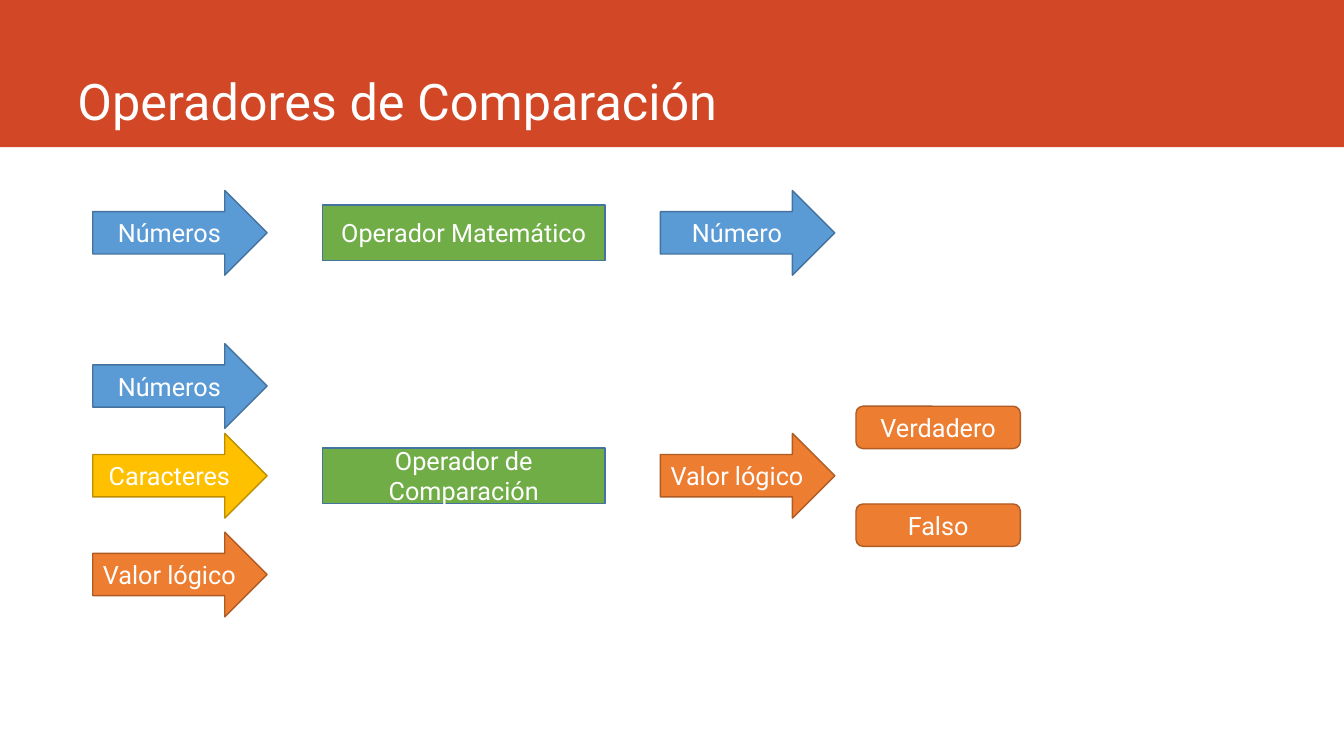
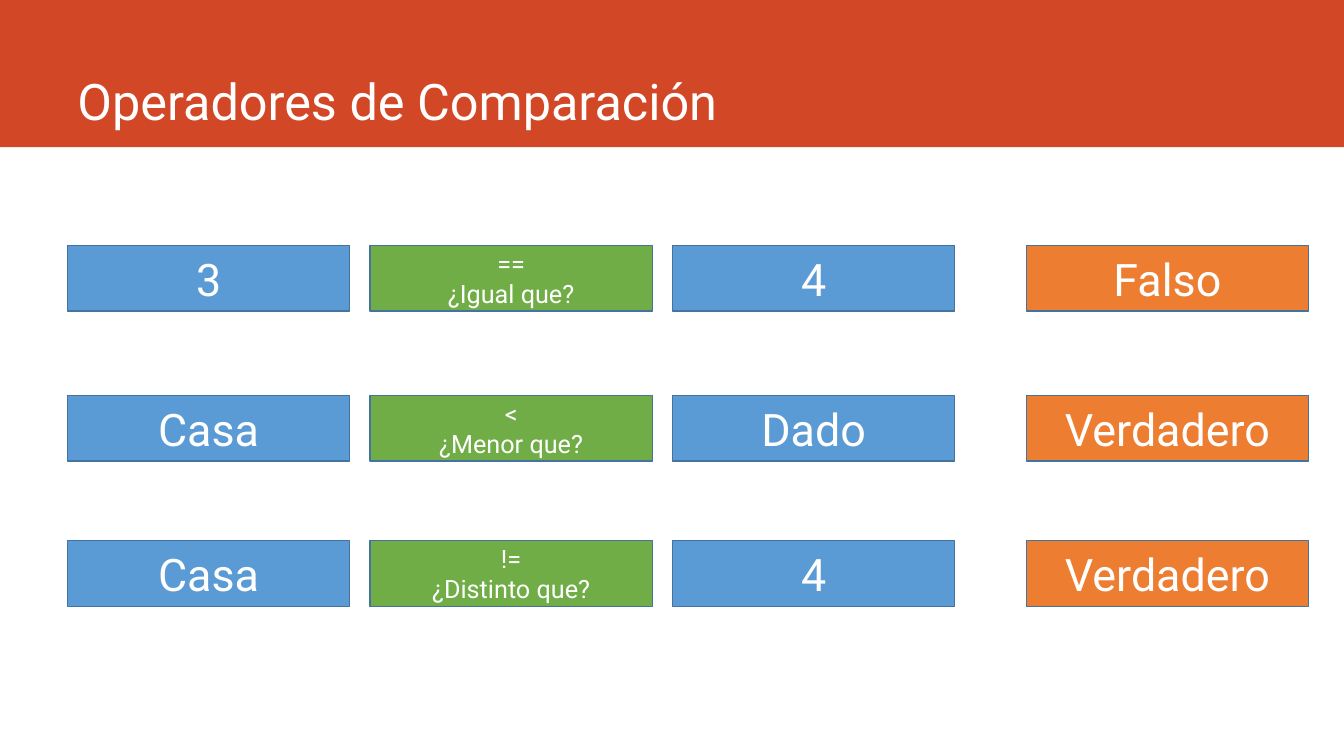
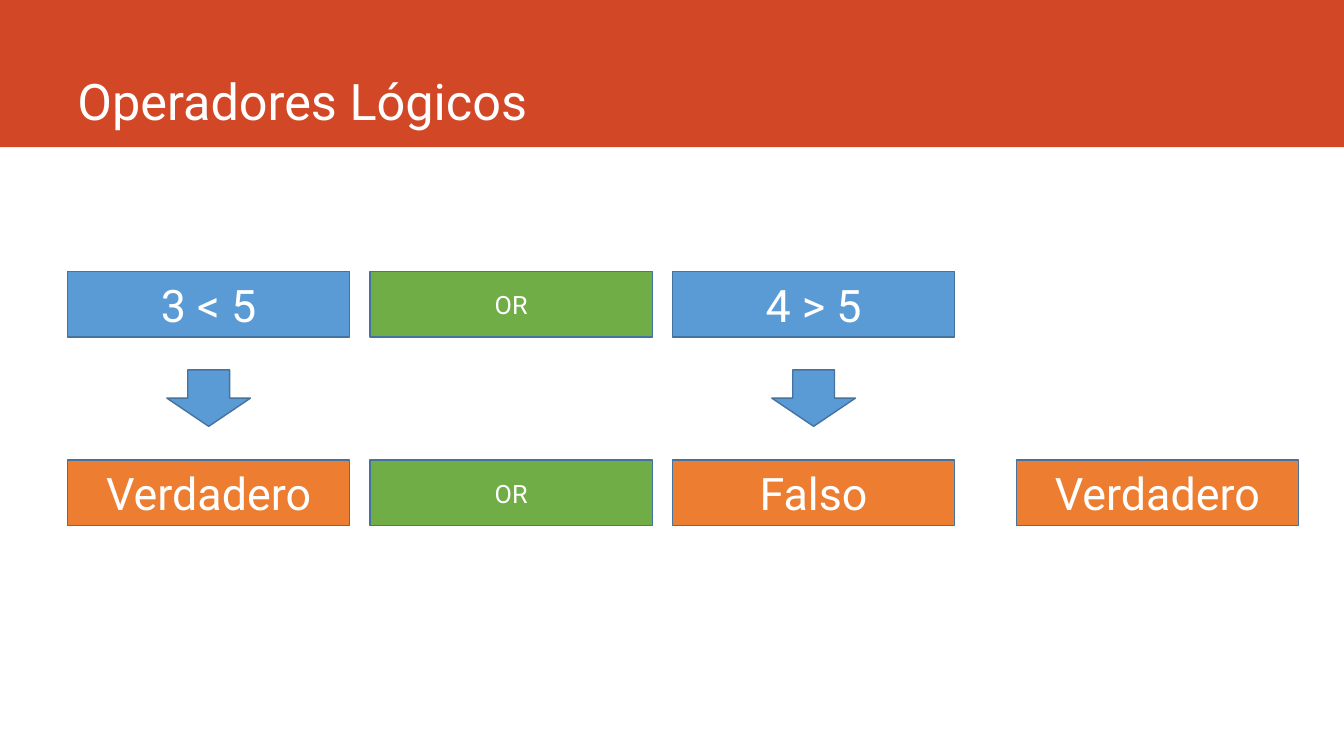
from typing import NamedTuple

from pptx import Presentation
from pptx.dml.color import RGBColor
from pptx.enum.shapes import MSO_SHAPE as SHAPE
from pptx.enum.text import MSO_ANCHOR as ANCHOR, PP_ALIGN as ALIGN
from pptx.util import Inches, Pt

FONT = "Roboto"
WHITE = "FFFFFF"
BAND = "D24726"
BLUE, BLUE_EDGE = "5B9BD5", "43739E"
GREEN = "70AD47"
ORANGE, ORANGE_EDGE = "ED7D31", "AF5C24"
YELLOW, YELLOW_EDGE = "FFC000", "BD8E00"

SLIDE_W, SLIDE_H = 13.33, 7.5
CELL_W, CELL_H, CELL_GAP, MARGIN = 2.8, 0.65, 0.2, 0.67
COLUMNS = [MARGIN + i * (CELL_W + CELL_GAP) for i in range(3)]
SMALL, LARGE = 18, 32


class Style(NamedTuple):
    shape: SHAPE
    width: float
    height: float
    fill: str
    edge: str = BLUE_EDGE
    size: int = SMALL


class Node(NamedTuple):
    style: Style
    left: float
    middle: float
    text: str = ""


ARROW = Style(SHAPE.RIGHT_ARROW, 1.73, 0.84, BLUE)
TEXT_ARROW = ARROW._replace(fill=YELLOW, edge=YELLOW_EDGE)
LOGIC_ARROW = ARROW._replace(fill=ORANGE, edge=ORANGE_EDGE)
DOWN_ARROW = Style(SHAPE.DOWN_ARROW, 0.83, 0.56, BLUE)
OPERATOR = Style(SHAPE.RECTANGLE, CELL_W, 0.55, GREEN)
OUTCOME = Style(SHAPE.ROUNDED_RECTANGLE, 1.63, 0.42, ORANGE, ORANGE_EDGE)
OPERAND_CELL = Style(SHAPE.RECTANGLE, CELL_W, CELL_H, BLUE, size=LARGE)
OPERATOR_CELL = OPERAND_CELL._replace(fill=GREEN, size=SMALL)
RESULT_CELL = OPERAND_CELL._replace(fill=ORANGE)


def color(value: str) -> RGBColor:
    return RGBColor.from_string(value)


def write(sp, text: str, *, size: int, align=ALIGN.CENTER, anchor=ANCHOR.MIDDLE) -> None:
    tf = sp.text_frame
    tf.word_wrap = True
    tf.vertical_anchor = anchor
    for i, line in enumerate(text.split("\n")):
        p = tf.add_paragraph() if i else tf.paragraphs[0]
        p.alignment = align
        r = p.add_run()
        r.text = line
        r.font.name = FONT
        r.font.size = Pt(size)
        r.font.color.rgb = color(WHITE)


def add_box(s, shape: SHAPE, left: float, top: float, width: float, height: float,
            fill: str, edge: str | None = None):
    sp = s.shapes.add_shape(shape, Inches(left), Inches(top), Inches(width), Inches(height))
    sp.shadow.inherit = False
    sp.fill.solid()
    sp.fill.fore_color.rgb = color(fill)
    if edge:
        sp.line.color.rgb = color(edge)
        sp.line.width = Pt(1)
    else:
        sp.line.fill.background()
    return sp


def draw(s, node: Node) -> None:
    st = node.style
    sp = add_box(s, st.shape, node.left, node.middle - st.height / 2,
                 st.width, st.height, st.fill, st.edge)
    if node.text:
        write(sp, node.text, size=st.size)


def add_slide(prs, title: str, nodes: list[Node]) -> None:
    s = prs.slides.add_slide(prs.slide_layouts[6])
    add_box(s, SHAPE.RECTANGLE, 0, 0, SLIDE_W, 1.46, BAND)
    heading = s.shapes.add_textbox(Inches(MARGIN), 0, Inches(11.75), Inches(1.34))
    write(heading, title, size=36, align=ALIGN.LEFT, anchor=ANCHOR.BOTTOM)
    for node in nodes:
        draw(s, node)


def flow_nodes() -> list[Node]:
    input_x, operator_x, output_x, outcome_x = 0.92, 3.2, 6.55, 8.49
    math_y, compare_y = 2.31, 4.72
    return [
        Node(ARROW, input_x, math_y, "Números"),
        Node(OPERATOR, operator_x, math_y, "Operador Matemático"),
        Node(ARROW, output_x, math_y, "Número"),
        Node(ARROW, input_x, 3.83, "Números"),
        Node(TEXT_ARROW, input_x, compare_y, "Caracteres"),
        Node(LOGIC_ARROW, input_x, 5.7, "Valor lógico"),
        Node(OPERATOR, operator_x, compare_y, "Operador de Comparación"),
        Node(LOGIC_ARROW, output_x, compare_y, "Valor lógico"),
        Node(OUTCOME, outcome_x, 4.24, "Verdadero"),
        Node(OUTCOME, outcome_x, 5.21, "Falso"),
    ]


def expression(middle: float, texts: tuple[str, str, str], operand: Style) -> list[Node]:
    styles = (operand, OPERATOR_CELL, operand)
    return [Node(st, x, middle, text) for st, x, text in zip(styles, COLUMNS, texts)]


def comparison_nodes() -> list[Node]:
    rows = [
        (2.76, ("3", "==\n¿Igual que?", "4"), "Falso"),
        (4.25, ("Casa", "<\n¿Menor que?", "Dado"), "Verdadero"),
        (5.69, ("Casa", "!=\n¿Distinto que?", "4"), "Verdadero"),
    ]
    nodes = []
    for middle, texts, result in rows:
        nodes += expression(middle, texts, OPERAND_CELL)
        nodes.append(Node(RESULT_CELL, 10.18, middle, result))
    return nodes


def logic_nodes() -> list[Node]:
    result_y = 4.89
    arrow_inset = (CELL_W - DOWN_ARROW.width) / 2
    return [
        *expression(3.02, ("3 < 5", "OR", "4 > 5"), OPERAND_CELL),
        *(Node(DOWN_ARROW, x + arrow_inset, 3.95) for x in COLUMNS[::2]),
        *expression(result_y, ("Verdadero", "OR", "Falso"), RESULT_CELL),
        Node(RESULT_CELL, 10.08, result_y, "Verdadero"),
    ]


def main() -> None:
    prs = Presentation()
    prs.slide_width, prs.slide_height = Inches(SLIDE_W), Inches(SLIDE_H)
    add_slide(prs, "Operadores de Comparación", flow_nodes())
    add_slide(prs, "Operadores de Comparación", comparison_nodes())
    add_slide(prs, "Operadores Lógicos", logic_nodes())
    prs.save("out.pptx")


if __name__ == "__main__":
    main()
